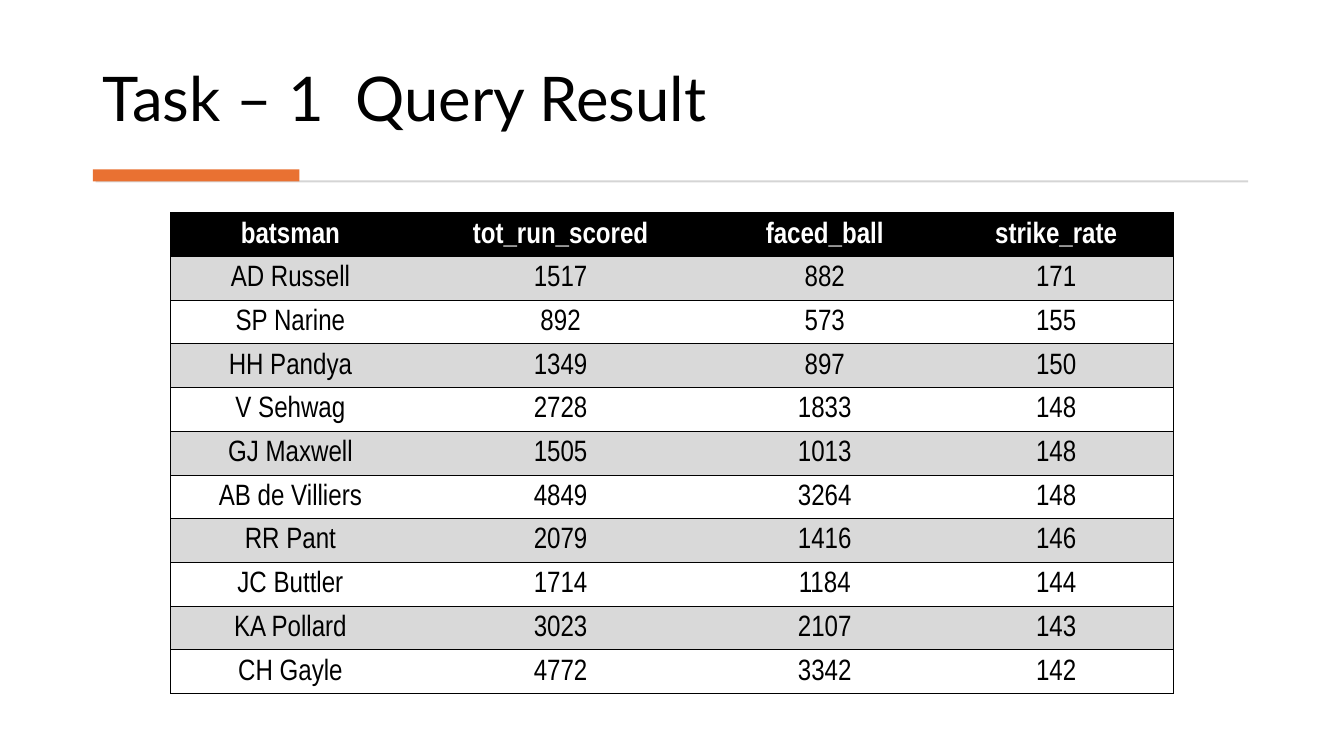
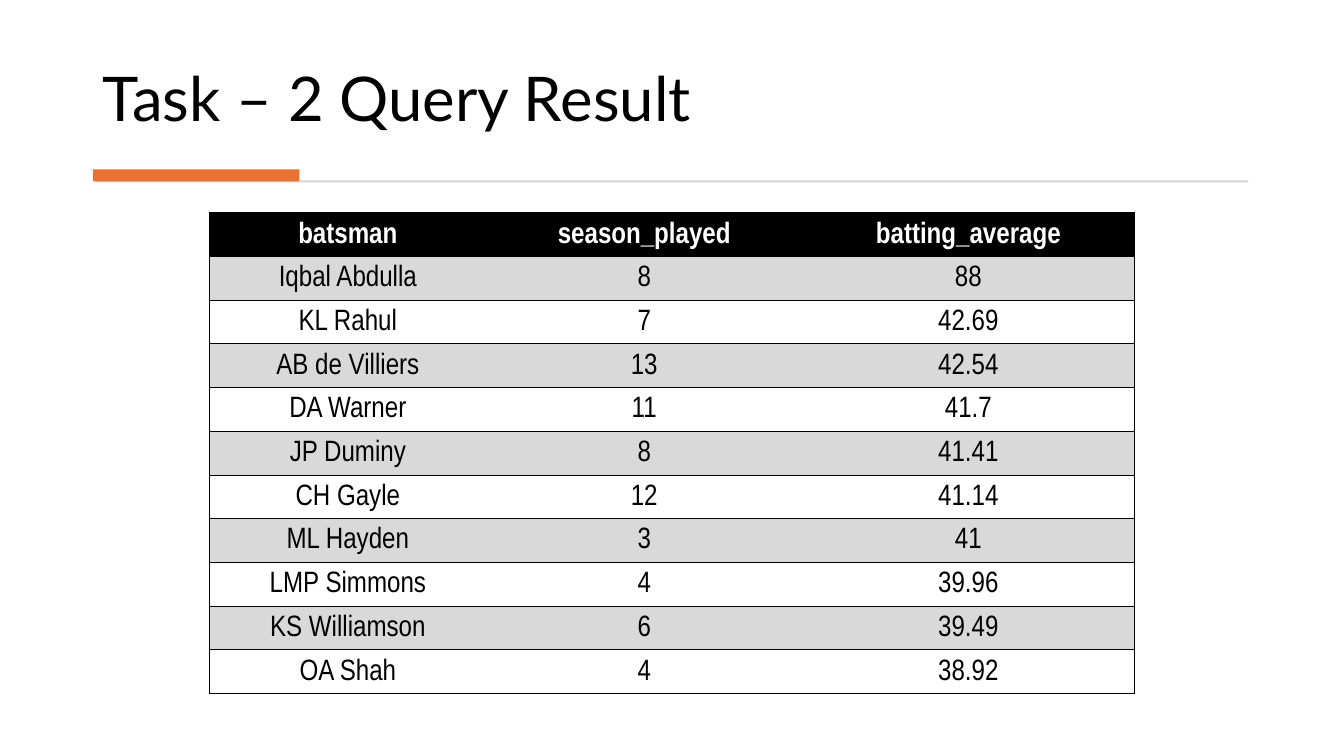
from lxml.etree import SubElement
from pptx import Presentation
from pptx.dml.color import RGBColor
from pptx.enum.shapes import MSO_SHAPE
from pptx.enum.text import MSO_ANCHOR, MSO_AUTO_SIZE, PP_ALIGN
from pptx.oxml.ns import qn
from pptx.util import Inches, Pt

BLACK = RGBColor(0x00, 0x00, 0x00)
WHITE = RGBColor(0xFF, 0xFF, 0xFF)
BAND_GREY = RGBColor(0xD9, 0xD9, 0xD9)
RULE_GREY = RGBColor(0xD5, 0xD5, 0xD5)
ORANGE = RGBColor(0xE9, 0x71, 0x32)

TITLE_FONT = "Lato"
TABLE_FONT = "Arial Narrow"
TITLE_ONLY = 5
PAGE_WIDTH = 13.33
TABLE_TOP = 2.11
TABLE_HEIGHT = 4.77

STRIKE_RATES = [
    ("batsman", "tot_run_scored", "faced_ball", "strike_rate"),
    ("AD Russell", "1517", "882", "171"),
    ("SP Narine", "892", "573", "155"),
    ("HH Pandya", "1349", "897", "150"),
    ("V Sehwag", "2728", "1833", "148"),
    ("GJ Maxwell", "1505", "1013", "148"),
    ("AB de Villiers", "4849", "3264", "148"),
    ("RR Pant", "2079", "1416", "146"),
    ("JC Buttler", "1714", "1184", "144"),
    ("KA Pollard", "3023", "2107", "143"),
    ("CH Gayle", "4772", "3342", "142"),
]

BATTING_AVERAGES = [
    ("batsman", "season_played", "batting_average"),
    ("Iqbal Abdulla", "8", "88"),
    ("KL Rahul", "7", "42.69"),
    ("AB de Villiers", "13", "42.54"),
    ("DA Warner", "11", "41.7"),
    ("JP Duminy", "8", "41.41"),
    ("CH Gayle", "12", "41.14"),
    ("ML Hayden", "3", "41"),
    ("LMP Simmons", "4", "39.96"),
    ("KS Williamson", "6", "39.49"),
    ("OA Shah", "4", "38.92"),
]


def style_font(font, name, size, color, bold=False):
    font.name = name
    font.size = Pt(size)
    font.color.rgb = color
    font.bold = bold


def set_title(page, text):
    title = page.shapes.title
    title.left, title.top = Inches(0.92), Inches(0.28)
    title.width, title.height = Inches(11.49), Inches(1.11)
    frame = title.text_frame
    frame.text = text
    frame.word_wrap = True
    frame.auto_size = MSO_AUTO_SIZE.NONE
    frame.vertical_anchor = MSO_ANCHOR.BOTTOM
    para = frame.paragraphs[0]
    para.alignment = PP_ALIGN.LEFT
    para.line_spacing = 0.9
    style_font(para.runs[0].font, TITLE_FONT, 44, BLACK)


def add_bar(page, left, top, width, height, color):
    bar = page.shapes.add_shape(
        MSO_SHAPE.RECTANGLE, Inches(left), Inches(top), Inches(width), Inches(height)
    )
    bar.shadow.inherit = False
    bar.fill.solid()
    bar.fill.fore_color.rgb = color
    bar.line.fill.background()


def add_result_page(deck, title):
    page = deck.slides.add_slide(deck.slide_layouts[TITLE_ONLY])
    set_title(page, title)
    add_bar(page, 0.95, 1.79, 11.43, 0.02, RULE_GREY)
    add_bar(page, 0.92, 1.68, 2.05, 0.12, ORANGE)
    return page


def set_borders(cell, visible_sides):
    properties = cell._tc.get_or_add_tcPr()
    for side in "LRTB":
        line = SubElement(properties, qn(f"a:ln{side}"), w=str(Pt(0.5)))
        if side in visible_sides:
            fill = SubElement(line, qn("a:solidFill"))
            SubElement(fill, qn("a:srgbClr"), val=str(BLACK))
        else:
            SubElement(line, qn("a:noFill"))


def fill_cell(cell, color):
    if color is None:
        cell.fill.background()
    else:
        cell.fill.solid()
        cell.fill.fore_color.rgb = color


def set_cell_text(cell, text, color, bold):
    cell.margin_left = cell.margin_right = cell.margin_top = Inches(0.02)
    cell.margin_bottom = 0
    cell.vertical_anchor = MSO_ANCHOR.MIDDLE
    cell.text_frame.text = text
    para = cell.text_frame.paragraphs[0]
    para.alignment = PP_ALIGN.CENTER
    style_font(para.runs[0].font, TABLE_FONT, 21, color, bold)


def row_fill(row_index):
    if row_index == 0:
        return BLACK
    return BAND_GREY if row_index % 2 else None


def add_result_table(page, records, column_widths):
    width = sum(column_widths)
    table = page.shapes.add_table(
        len(records), len(column_widths),
        Inches((PAGE_WIDTH - width) / 2), Inches(TABLE_TOP),
        Inches(width), Inches(TABLE_HEIGHT),
    ).table
    table.horz_banding = False
    for column, column_width in zip(table.columns, column_widths):
        column.width = Inches(column_width)
    last_column = len(column_widths) - 1
    for row_index, record in enumerate(records):
        is_header = row_index == 0
        for column_index, text in enumerate(record):
            cell = table.cell(row_index, column_index)
            sides = "TB"
            if column_index == 0:
                sides += "L"
            if column_index == last_column:
                sides += "R"
            set_borders(cell, sides)
            fill_cell(cell, row_fill(row_index))
            set_cell_text(cell, text, WHITE if is_header else BLACK, is_header)


def main():
    deck = Presentation()
    deck.slide_width, deck.slide_height = Inches(PAGE_WIDTH), Inches(7.5)
    results = [
        ("Task – 1  Query Result", STRIKE_RATES, (2.38, 2.98, 2.26, 2.33)),
        ("Task – 2 Query Result", BATTING_AVERAGES, (2.74, 3.14, 3.29)),
    ]
    for title, records, column_widths in results:
        page = add_result_page(deck, title)
        add_result_table(page, records, column_widths)
    deck.save("out.pptx")


if __name__ == "__main__":
    main()
